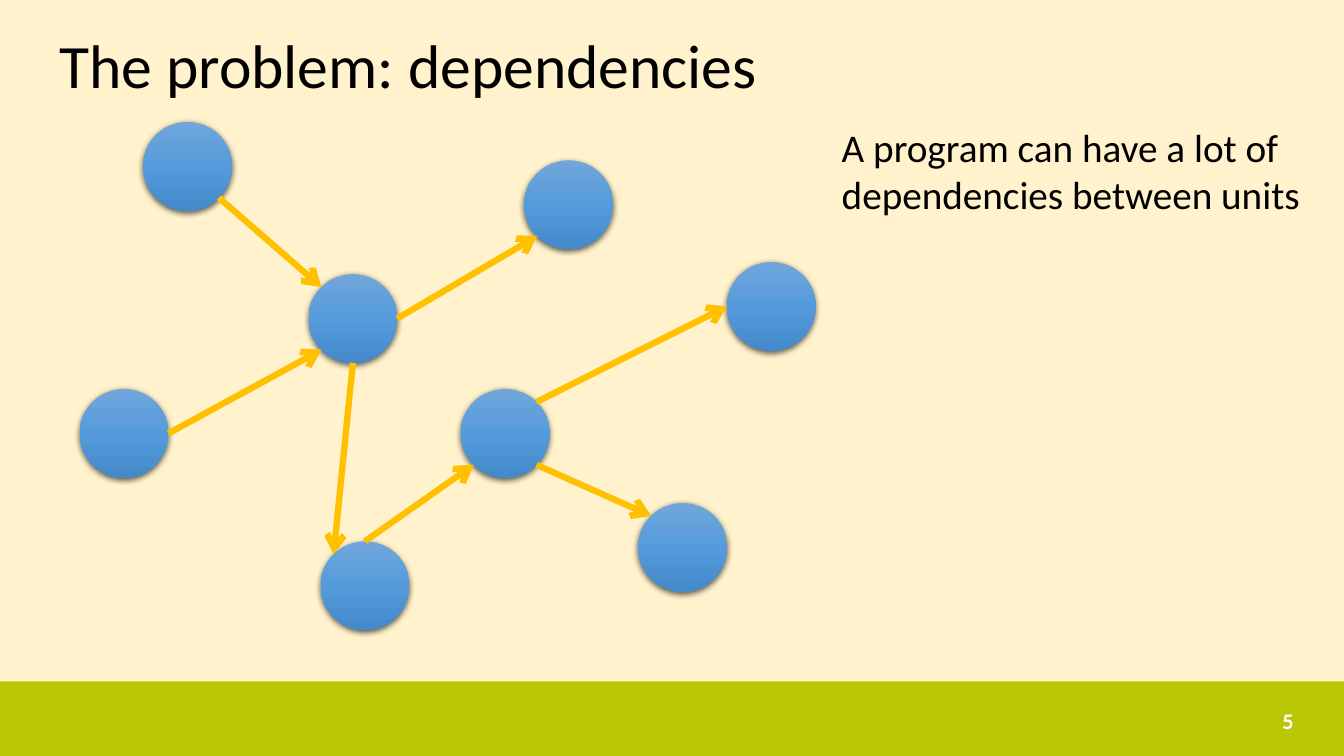
from dataclasses import dataclass
from math import cos, radians, sin

from lxml.etree import SubElement
from pptx import Presentation
from pptx.dml.color import RGBColor as RGB
from pptx.enum.shapes import MSO_CONNECTOR as LINK, MSO_SHAPE as SHAPE
from pptx.enum.text import MSO_ANCHOR as ANCHOR, PP_ALIGN as ALIGN
from pptx.oxml import parse_xml
from pptx.oxml.ns import nsdecls, qn
from pptx.util import Inches, Pt


@dataclass(frozen=True)
class Theme:
    font: str = "Calibri"
    back: str = "FFF2CC"
    band: str = "B8C605"
    ink: str = "000000"
    pale: str = "FFFFFF"
    arrow: str = "FFC000"
    ball: tuple = ((0, "71A6DB"), (50, "559BDB"), (100, "448ACA"))
    title: int = 44
    body: int = 28
    page: int = 16
    line: float = 4.5


THEME = Theme()
SIZE = 0.88
TOP, TOP_LEFT, LEFT, LOW_LEFT, LOW, LOW_RIGHT, RIGHT, TOP_RIGHT = range(8)

UNITS = {
    "hub": (2.27, 1.51),
    "north": (4.41, 0.38),
    "east": (6.42, 1.39),
    "south": (5.54, 3.78),
    "mid": (3.78, 2.65),
    "base": (2.39, 4.16),
    "first": (0.63, 0),
    "west": (0, 2.65),
}
LINKS = [
    ("first", LOW_RIGHT, "hub", TOP_LEFT),
    ("west", RIGHT, "hub", LOW_LEFT),
    ("base", TOP, "mid", LOW_LEFT),
    ("hub", LOW, "base", TOP_LEFT),
    ("hub", RIGHT, "north", LOW_LEFT),
    ("mid", TOP_RIGHT, "east", LEFT),
    ("mid", LOW_RIGHT, "south", TOP_LEFT),
]


def inches(*nums):
    return [Inches(num) for num in nums]


def add_text(slide, box, words, size, color, bold=False,
             anchor=ANCHOR.TOP, align=ALIGN.LEFT, space=1.0):
    frame = slide.shapes.add_textbox(*inches(*box)).text_frame
    frame.word_wrap = True
    frame.vertical_anchor = anchor
    para = frame.paragraphs[0]
    para.alignment = align
    para.line_spacing = space
    run = para.add_run()
    run.text = words
    font = run.font
    font.name, font.size, font.bold = THEME.font, Pt(size), bold
    font.color.rgb = RGB.from_string(color)


def add_unit(slide, left, top):
    unit = slide.shapes.add_shape(SHAPE.OVAL, *inches(left, top, SIZE, SIZE))
    unit.line.fill.background()
    unit.shadow.inherit = False
    stops = "".join(
        f'<a:gs pos="{pos * 1000}"><a:srgbClr val="{color}"/></a:gs>'
        for pos, color in THEME.ball)
    props = unit.element.spPr
    props.find(qn("a:ln")).addprevious(parse_xml(
        f'<a:gradFill {nsdecls("a")} rotWithShape="1"><a:gsLst>{stops}</a:gsLst>'
        '<a:lin ang="5400000" scaled="0"/></a:gradFill>'))
    props.find(qn("a:effectLst")).append(parse_xml(
        f'<a:outerShdw {nsdecls("a")} blurRad="{Pt(4.5)}" dist="{Pt(1.5)}" '
        f'dir="5400000" algn="ctr" rotWithShape="0"><a:srgbClr val="{THEME.ink}">'
        '<a:alpha val="63000"/></a:srgbClr></a:outerShdw>'))
    return unit


def site_point(unit, site):
    turn = radians(90 + 45 * site)
    half = unit.width / 2
    return (round(unit.left + half * (1 + cos(turn))),
            round(unit.top + half * (1 - sin(turn))))


def add_link(slide, start, exit, end, entry):
    link = slide.shapes.add_connector(
        LINK.STRAIGHT, *site_point(start, exit), *site_point(end, entry))
    link.line.color.rgb = RGB.from_string(THEME.arrow)
    link.line.width = Pt(THEME.line)
    glue = link.element.nvCxnSpPr.cNvCxnSpPr
    for tag, unit, site in (("a:stCxn", start, exit), ("a:endCxn", end, entry)):
        SubElement(glue, qn(tag), id=str(unit.shape_id), idx=str(site))
    props = link.element.spPr
    SubElement(props.find(qn("a:ln")), qn("a:tailEnd"), type="arrow")
    SubElement(props, qn("a:effectLst"))


def add_graph(slide, left, top):
    units = {name: add_unit(slide, left + x, top + y)
             for name, (x, y) in UNITS.items()}
    for start, exit, end, entry in LINKS:
        add_link(slide, units[start], exit, units[end], entry)


def add_footer(slide, left, top, width, height):
    band = slide.shapes.add_shape(
        SHAPE.RECTANGLE, *inches(left, top, width, height))
    band.shadow.inherit = False
    band.fill.solid()
    band.fill.fore_color.rgb = RGB.from_string(THEME.band)
    band.line.fill.background()
    add_text(slide, (left + width - 3.91, top + 0.19, 3.51, 0.4), "5",
             THEME.page, THEME.pale, bold=True,
             anchor=ANCHOR.MIDDLE, align=ALIGN.RIGHT)


def add_page(deck):
    slide = deck.slides.add_slide(deck.slide_layouts[6])
    fill = slide.background.fill
    fill.solid()
    fill.fore_color.rgb = RGB.from_string(THEME.back)
    add_footer(slide, 0, 6.76, 13.33, 0.74)
    add_text(slide, (0.49, -0.05, 12.43, 1.45), "The problem: dependencies",
             THEME.title, THEME.ink, anchor=ANCHOR.MIDDLE, space=0.9)
    add_graph(slide, 0.79, 1.21)
    add_text(slide, (8.25, 1.17, 5.28, 1.04),
             "A program can have a lot of dependencies between units",
             THEME.body, THEME.ink)


deck = Presentation()
deck.slide_width, deck.slide_height = inches(13.33, 7.5)
add_page(deck)
deck.save("out.pptx")
